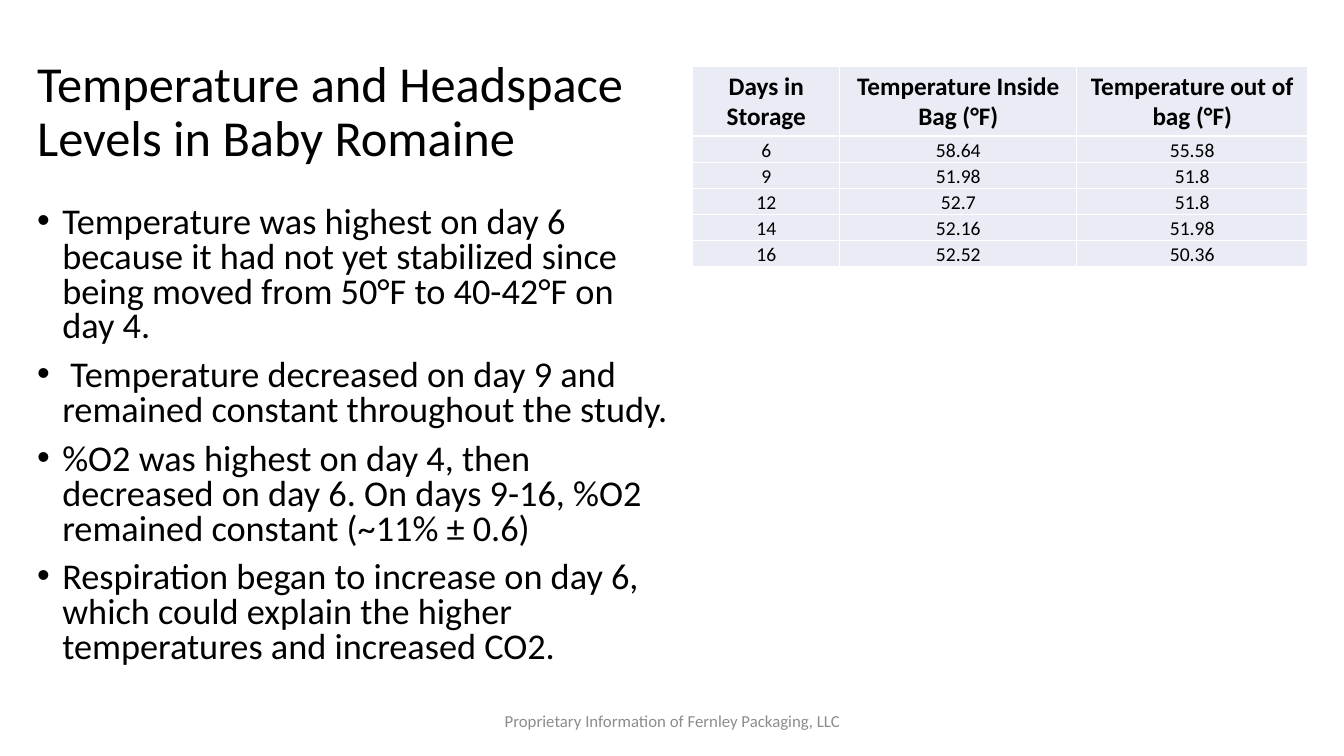
from dataclasses import dataclass

from lxml import etree
from pptx import Presentation
from pptx.dml.color import RGBColor
from pptx.enum.text import MSO_ANCHOR, PP_ALIGN
from pptx.oxml.ns import qn
from pptx.util import Inches, Pt

TOP, MIDDLE, BOTTOM = MSO_ANCHOR.TOP, MSO_ANCHOR.MIDDLE, MSO_ANCHOR.BOTTOM
LEFT, CENTER = PP_ALIGN.LEFT, PP_ALIGN.CENTER


@dataclass(frozen=True)
class Theme:
    font: str = "Calibri"
    ink: str = "000000"
    muted: str = "8C8C8C"
    cell: str = "E9EBF5"
    rule: str = "FFFFFF"
    title: float = 36
    body: float = 25.9
    header: float = 18
    data: float = 14
    footer: float = 12


theme = Theme()


def write(paragraph, text, size, color=theme.ink, bold=False, **layout):
    """Fill a paragraph and apply its font and paragraph formats."""
    paragraph.text = text
    for name, value in layout.items():
        setattr(paragraph, name, value)
    font_format = {"name": theme.font, "size": Pt(size), "bold": bold}
    for name, value in font_format.items():
        setattr(paragraph.font, name, value)
    paragraph.font.color.rgb = RGBColor.from_string(color)


def add_text_frame(left, top, width, height, anchor):
    box = slide.shapes.add_textbox(Inches(left), Inches(top), Inches(width), Inches(height))
    box.text_frame.word_wrap = True
    box.text_frame.vertical_anchor = anchor
    return box.text_frame


prs = Presentation()
prs.slide_width, prs.slide_height = Inches(13.33), Inches(7.5)
slide = prs.slides.add_slide(prs.slide_layouts[6])

# Title
title = add_text_frame(0.27, 0.4, 6.5, 1.45, MIDDLE)
write(title.paragraphs[0], "Temperature and Headspace Levels in Baby Romaine",
      theme.title, alignment=LEFT, line_spacing=0.9)

# Findings
findings = [
    "Temperature was highest on day 6 because it had not yet stabilized since "
    "being moved from 50°F to 40-42°F on day 4.",
    " Temperature decreased on day 9 and remained constant throughout the study.",
    "%O2 was highest on day 4, then decreased on day 6. On days 9-16, %O2 "
    "remained constant (~11% ± 0.6)",
    "Respiration began to increase on day 6, which could explain the higher "
    "temperatures and increased CO2.",
]
body = add_text_frame(0.27, 2, 6.5, 4.76, TOP)
for index, finding in enumerate(findings):
    paragraph = body.add_paragraph() if index else body.paragraphs[0]
    bullet_format = paragraph._p.get_or_add_pPr()
    bullet_format.set("marL", str(Inches(0.25)))
    bullet_format.set("indent", str(Inches(-0.25)))
    etree.SubElement(bullet_format, qn("a:buFont")).set("typeface", "Arial")
    etree.SubElement(bullet_format, qn("a:buChar")).set("char", "•")
    write(paragraph, finding, theme.body, line_spacing=0.8,
          space_before=Pt(10 if index else 0))

# Footer
footer = add_text_frame(4.42, 6.95, 4.5, 0.4, MIDDLE)
write(footer.paragraphs[0], "Proprietary Information of Fernley Packaging, LLC",
      theme.footer, theme.muted, alignment=CENTER)

# Temperature table
readings = [
    ("Days in Storage", "Temperature Inside Bag (°F)", "Temperature out of bag (°F)"),
    ("6", "58.64", "55.58"),
    ("9", "51.98", "51.8"),
    ("12", "52.7", "51.8"),
    ("14", "52.16", "51.98"),
    ("16", "52.52", "50.36"),
]
column_widths = (1.46, 2.35, 2.29)
temperatures = slide.shapes.add_table(
    len(readings), len(column_widths),
    Inches(6.87), Inches(0.66), Inches(6.1), Inches(1.98)).table
for column, width in zip(temperatures.columns, column_widths):
    column.width = Inches(width)

for r, reading in enumerate(readings):
    is_header = r == 0
    temperatures.rows[r].height = Inches(0.69 if is_header else 0.26)
    cell_format = {
        "margin_left": Inches(0.01), "margin_right": Inches(0.01),
        "margin_top": Inches(0.01), "margin_bottom": 0,
        "vertical_anchor": MIDDLE if is_header else BOTTOM,
    }
    for c, value in enumerate(reading):
        cell = temperatures.cell(r, c)
        for name, setting in cell_format.items():
            setattr(cell, name, setting)
        write(cell.text_frame.paragraphs[0], value,
              theme.header if is_header else theme.data,
              bold=is_header, alignment=CENTER)
        # Borders come before the fill in the cell properties
        cell_properties = cell._tc.get_or_add_tcPr()
        for side in ("a:lnL", "a:lnR", "a:lnT", "a:lnB"):
            border = etree.SubElement(cell_properties, qn(side), w=str(Pt(1)))
            border_fill = etree.SubElement(border, qn("a:solidFill"))
            etree.SubElement(border_fill, qn("a:srgbClr"), val=theme.rule)
        cell.fill.solid()
        cell.fill.fore_color.rgb = RGBColor.from_string(theme.cell)

prs.save("out.pptx")
